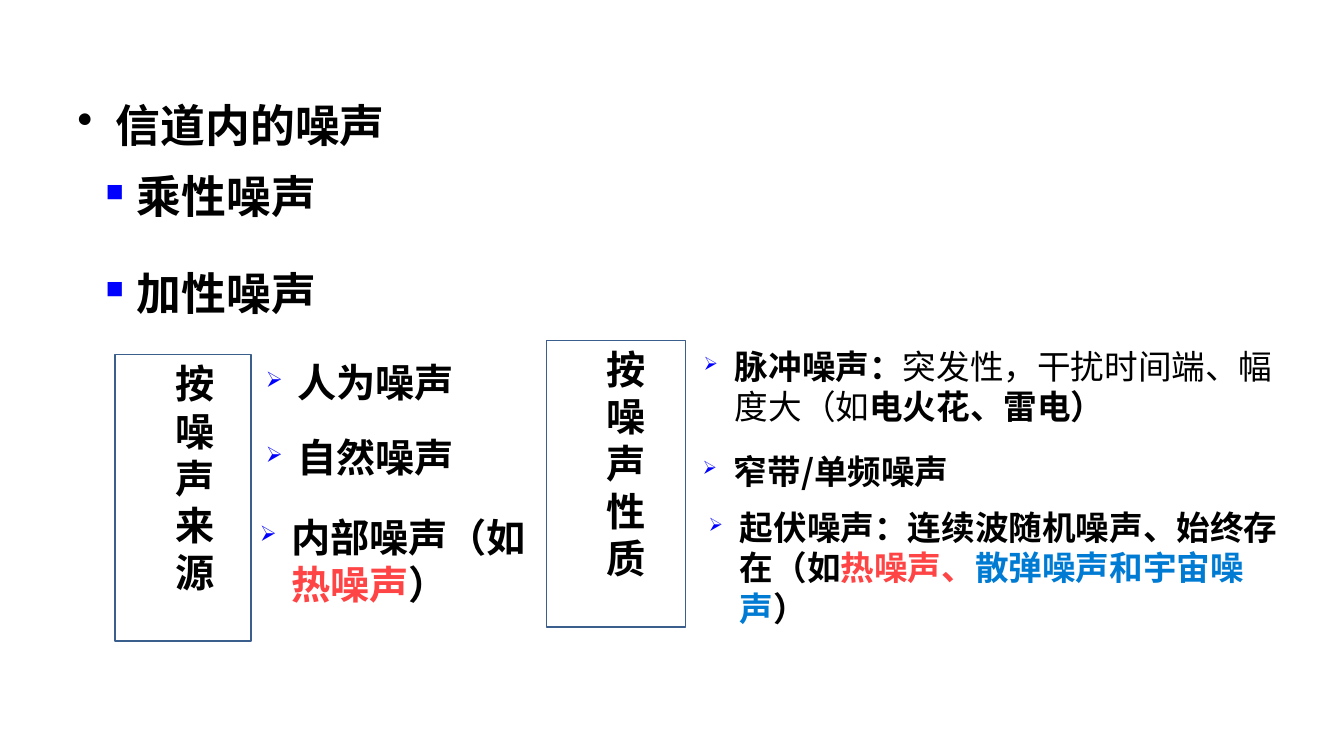
"""Build the slide that classifies noise in a channel."""
from dataclasses import dataclass

from lxml import etree
from pptx import Presentation
from pptx import util as u
from pptx.dml import color
from pptx.enum import shapes, text
from pptx.oxml import ns

COLORS = {"black": "000000", "bullet": "0000FF", "frame": "3A5F8C",
          "red": "FE4444", "blue": "007BD3"}
CJK = "Noto Sans CJK SC"


@dataclass
class Run:
    """A stretch of text in one style."""
    words: str
    color: str = "black"
    bold: bool = True


@dataclass
class Item:
    """A bulleted text box."""
    box: tuple[float, float, float, float]
    size: int
    bullet: str
    runs: list[Run]
    font: str = CJK
    level: int = 1
    indent: tuple[float, float] = (0.81, -0.31)


@dataclass
class Frame:
    """An outlined box with a column of characters."""
    box: tuple[float, float, float, float]
    words: str


ITEMS = [
    Item((0.67, 0.92, 12.33, 0.85), 32, "•", [Run("信道内的噪声")],
         "Calibri", 0, (0.38, -0.38)),
    Item((0.45, 1.62, 8.52, 0.6), 32, "■", [Run("乘性噪声")]),
    Item((0.45, 2.59, 8.52, 0.6), 32, "■", [Run("加性噪声")]),
    Item((2.04, 3.51, 2.67, 0.6), 28, "➢", [Run("人为噪声")]),
    Item((2.04, 4.25, 2.67, 0.6), 28, "➢", [Run("自然噪声")]),
    Item((1.98, 5.04, 3.66, 0.6), 28, "➢",
         [Run("内部噪声（如"), Run("热噪声", "red"), Run("）")]),
    Item((6.38, 3.38, 6.62, 0.6), 24, "➢",
         [Run("脉冲噪声："), Run("突发性，干扰时间端、幅度大（如", bold=False),
          Run("电火花、雷电）")]),
    Item((6.37, 4.42, 3.73, 0.6), 24, "➢", [Run("窄带/单频噪声")]),
    Item((6.43, 4.98, 6.4, 1.25), 24, "➢",
         [Run("起伏噪声：连续波随机噪声、始终存在（如"), Run("热噪声、", "red"),
          Run("散弹噪声和宇宙噪声", "blue"), Run("）")]),
]
FRAMES = [Frame((1.14, 3.52, 1.35, 2.84), "按噪声来源"),
          Frame((5.42, 3.38, 1.38, 2.84), "按噪声性质")]


def rgb(name: str) -> color.RGBColor:
    """Look up a named colour."""
    return color.RGBColor.from_string(COLORS[name])


def start_paragraph(sp, level: int, indent: tuple[float, float]):
    """Prepare the text frame and return its paragraph."""
    tf = sp.text_frame
    tf.word_wrap = True
    tf.vertical_anchor = text.MSO_ANCHOR.TOP
    p = tf.paragraphs[0]
    p.level = level
    p.alignment = text.PP_ALIGN.LEFT
    pPr = p._p.get_or_add_pPr()
    pPr.set("marL", str(u.Inches(indent[0])))
    pPr.set("indent", str(u.Inches(indent[1])))
    return p


def add_bullet(p, char: str, level: int) -> None:
    """Give a paragraph its bullet, small and blue below the top level."""
    pPr = p._p.get_or_add_pPr()
    if level:
        clr = etree.SubElement(pPr, ns.qn("a:buClr"))
        etree.SubElement(clr, ns.qn("a:srgbClr"), val=COLORS["bullet"])
        etree.SubElement(pPr, ns.qn("a:buSzPct"), val="55000")
    etree.SubElement(pPr, ns.qn("a:buChar"), char=char)


def add_run(p, run: Run, size: int, font: str) -> None:
    """Append a styled run."""
    r = p.add_run()
    r.text = run.words
    r.font.size = u.Pt(size)
    r.font.bold = run.bold
    r.font.color.rgb = rgb(run.color)
    r.font.name = font
    etree.SubElement(r._r.get_or_add_rPr(), ns.qn("a:ea"), typeface=CJK)


def draw_item(s, item: Item) -> None:
    """Draw a bulleted text box."""
    sp = s.shapes.add_textbox(*map(u.Inches, item.box))
    p = start_paragraph(sp, item.level, item.indent)
    add_bullet(p, item.bullet, item.level)
    for run in item.runs:
        add_run(p, run, item.size, item.font)


def draw_frame(s, frame: Frame) -> None:
    """Draw an outlined box whose text wraps at each character."""
    sp = s.shapes.add_shape(shapes.MSO_SHAPE.RECTANGLE, *map(u.Inches, frame.box))
    sp.shadow.inherit = False
    sp.fill.background()
    sp.line.color.rgb = rgb("frame")
    sp.line.width = u.Pt(1)
    p = start_paragraph(sp, 1, (0.5, 0))
    add_run(p, Run(frame.words), 28, CJK)


def main() -> None:
    """Build and save the slide."""
    prs = Presentation()
    prs.slide_width, prs.slide_height = u.Inches(13.33), u.Inches(7.5)
    s = prs.slides.add_slide(prs.slide_layouts[6])
    for frame in FRAMES:
        draw_frame(s, frame)
    for item in ITEMS:
        draw_item(s, item)
    prs.save("out.pptx")


if __name__ == "__main__":
    main()
